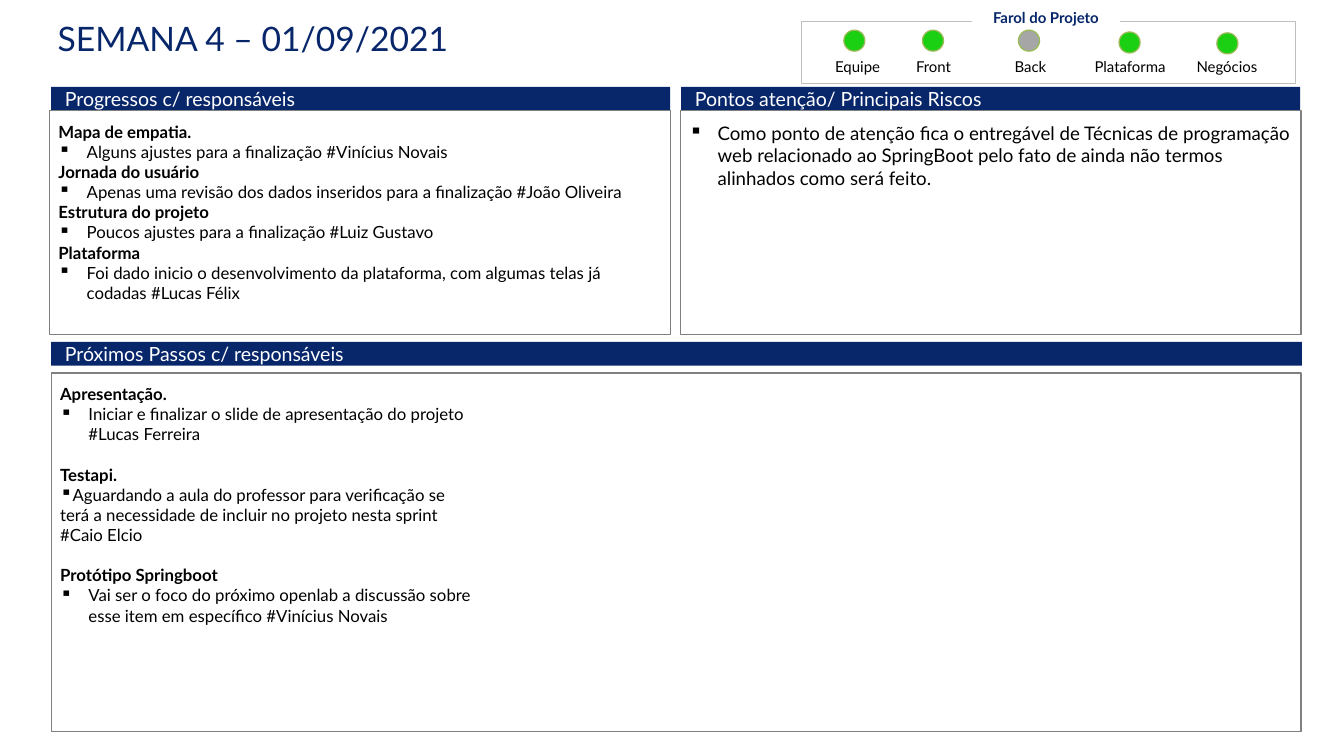
import pptx
import pptx.util
import pptx.dml.color
import pptx.enum.shapes
import pptx.enum.text
import lxml.etree

PX = 9144  # 100 px to the inch
FONT = "Lato"
NAVY, BLACK, WHITE, GREY = "08276B", "000000", "FFFFFF", "808080"
GREEN, SILVER = "1BCF13", "A6A6A6"
KINDS = pptx.enum.shapes.MSO_SHAPE
ANCHORS = pptx.enum.text.MSO_ANCHOR
ALIGN = pptx.enum.text.PP_ALIGN
rgb = pptx.dml.color.RGBColor.from_string

deck = pptx.Presentation()
deck.slide_width, deck.slide_height = 1470 * PX, 827 * PX
page = deck.slides.add_slide(deck.slide_layouts[5])


def add_box(kind, at, fill=None, line=None, width=1):
    """Add a flat shape; without a fill or line colour that part stays clear."""
    box = page.shapes.add_shape(kind, *[length * PX for length in at])
    box.shadow.inherit = False
    if fill:
        box.fill.solid()
        box.fill.fore_color.rgb = rgb(fill)
    else:
        box.fill.background()
    if line:
        box.line.color.rgb = rgb(line)
        box.line.width = pptx.util.Pt(width)
    else:
        box.line.fill.background()
    return box


def write(box, lines, size, colour, insets, anchor, align=ALIGN.LEFT, wrap=True):
    """Fill a box with lines of (text, bold, bullet indents or None, space before)."""
    frame = box.text_frame
    sides = ("margin_left", "margin_top", "margin_right", "margin_bottom")
    settings = {side: inset * PX for side, inset in zip(sides, insets)}
    settings.update(word_wrap=wrap, vertical_anchor=anchor,
                    auto_size=pptx.enum.text.MSO_AUTO_SIZE.NONE)
    for name, value in settings.items():
        setattr(frame, name, value)
    for number, (text, bold, bullet, before) in enumerate(lines):
        para = frame.add_paragraph() if number else frame.paragraphs[0]
        para.alignment = align
        para.space_before = pptx.util.Pt(before)
        span = para.add_run()
        span.text = text
        font = {"name": FONT, "size": pptx.util.Pt(size), "bold": bold}
        for name, value in font.items():
            setattr(span.font, name, value)
        span.font.color.rgb = rgb(colour)
        if bullet:
            props = para._p.get_or_add_pPr()
            for name, indent in zip(("marL", "indent"), bullet):
                props.set(name, str(indent * PX))
            mark = lxml.etree.SubElement(props, pptx.oxml.ns.qn("a:buChar"))
            mark.set("char", "▪")


title = page.shapes.title
place = {"left": 51, "top": 20, "width": 1323, "height": 88}
for name, value in place.items():
    setattr(title, name, value * PX)
write(title, [("SEMANA 4 – 01/09/2021", False, None, 0)], 26.5, NAVY,
      (12, 0, 12, 0), ANCHORS.TOP)

# Section headers
headers = [
    ("Progressos c/ responsáveis", 56, 95, 677),
    ("Pontos atenção/ Principais Riscos", 745, 95, 677),
    ("Próximos Passos c/ responsáveis", 56, 374, 1368),
]
for text, left, top, width in headers:
    header = add_box(KINDS.RECTANGLE, (left, top, width, 26), NAVY)
    write(header, [(text, False, None, 0)], 15.4, WHITE, (15, 7, 15, 7), ANCHORS.MIDDLE)

# Section bodies
HANGING, FLUSH = (31, -31), (0, -28)
GAP = 15.84  # one line of body text
progress = [
    ("Mapa de empatia.", True, None, 0),
    ("Alguns ajustes para a finalização #Vinícius Novais", False, HANGING, 0),
    ("Jornada do usuário", True, None, 0),
    ("Apenas uma revisão dos dados inseridos para a finalização #João Oliveira",
     False, HANGING, 0),
    ("Estrutura do projeto", True, None, 0),
    ("Poucos ajustes para a finalização #Luiz Gustavo", False, HANGING, 0),
    ("Plataforma", True, None, 0),
    ("Foi dado inicio o desenvolvimento da plataforma, com algumas telas já "
     "codadas #Lucas Félix", False, HANGING, 0),
]
risks = [
    ("Como ponto de atenção fica o entregável de Técnicas de programação web "
     "relacionado ao SpringBoot pelo fato de ainda não termos alinhados como "
     "será feito.", False, HANGING, 0),
]
next_steps = [
    ("Apresentação.", True, None, 0),
    ("Iniciar e finalizar o slide de apresentação do projeto #Lucas Ferreira",
     False, HANGING, 0),
    ("Testapi.", True, None, GAP),
    ("Aguardando a aula do professor para verificação se terá a necessidade de "
     "incluir no projeto nesta sprint #Caio Elcio", False, FLUSH, 0),
    ("Protótipo Springboot", True, None, GAP),
    ("Vai ser o foco do próximo openlab a discussão sobre esse item em "
     "específico #Vinícius Novais", False, HANGING, 0),
]
bodies = [
    (progress, (54, 121, 679, 245), 13.2, 1),
    (risks, (744, 121, 679, 245), 14.7, 1),
    (next_steps, (56, 408, 1367, 392), 13.2, 3),
]
for lines, at, size, columns in bodies:
    body = add_box(KINDS.RECTANGLE, at, line=GREY)
    write(body, lines, size, BLACK, (10, 12, 10, 5), ANCHORS.TOP)
    body.text_frame._txBody.bodyPr.set("numCol", str(columns))

# Project status lights
LABEL_INSETS = (6, 6, 6, 0)
lights = [
    ("Equipe", 889, 923, 33, GREEN),
    ("Front", 972, 1009, 33, GREEN),
    ("Back", 1078, 1114, 33, SILVER),
    ("Plataforma", 1187, 1224, 35, GREEN),
    ("Negócios", 1293, 1331, 36, GREEN),
]
for text, label_left, light_left, light_top, colour in lights:
    label = page.shapes.add_textbox(label_left * PX, 63 * PX, 98 * PX, 20 * PX)
    write(label, [(text, False, None, 0)], 11.8, BLACK, LABEL_INSETS,
          ANCHORS.BOTTOM, ALIGN.CENTER, False)
    add_box(KINDS.OVAL, (light_left, light_top, 23, 23), colour, "9BBB59")

add_box(KINDS.RECTANGLE, (877, 23, 540, 68), line="BFBFBF", width=0.5)
caption = add_box(KINDS.RECTANGLE, (1063, 6, 162, 23), WHITE)
write(caption, [("Farol do Projeto", True, None, 0)], 11.8, NAVY, LABEL_INSETS,
      ANCHORS.BOTTOM, ALIGN.CENTER, False)

deck.save("out.pptx")
